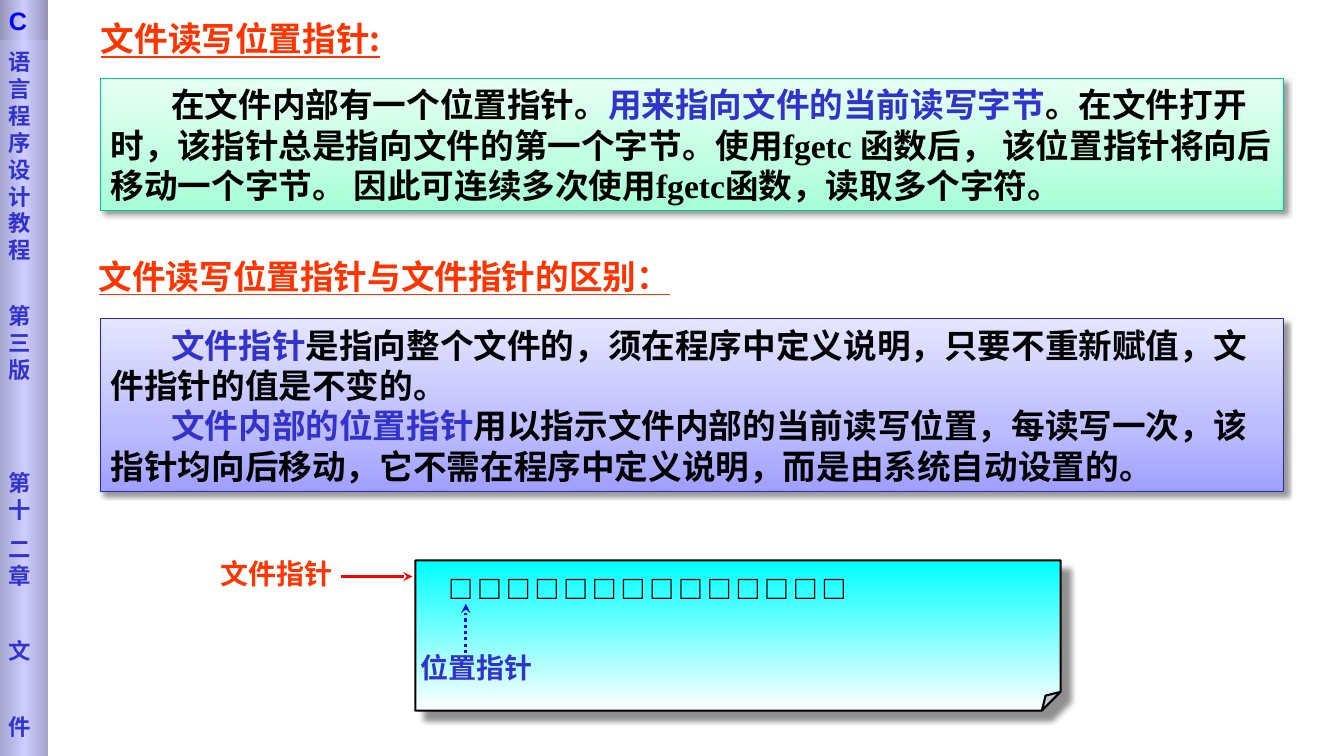
from dataclasses import dataclass

from lxml.etree import SubElement
from pptx import Presentation
from pptx.dml.color import RGBColor
from pptx.enum.dml import MSO_LINE
from pptx.enum.shapes import MSO_CONNECTOR, MSO_SHAPE
from pptx.enum.text import MSO_ANCHOR, MSO_AUTO_SIZE, PP_ALIGN
from pptx.oxml.ns import qn
from pptx.util import Inches, Pt


@dataclass(frozen=True)
class Theme:
    ink: str = "000000"
    head: str = "FF3300"
    mark: str = "3333CC"
    blue: str = "0000FF"
    red: str = "FF0000"
    mint_edge: str = "00C896"
    lilac_edge: str = "2929B8"
    mint: tuple = ((0, "A5FFD6"), (35, "BFFFE2"), (100, "E7FFF3"))
    lilac: tuple = ((0, "9F9FFF"), (35, "BBBBFF"), (100, "E5E5FF"))
    cyan: tuple = ((0, "00FFFF"), (100, "FFFFFF"))
    side: tuple = ((0, "A4A4CD"), (50, "CCCCFF"), (100, "A4A4CD"))
    cap: tuple = ((0, "9292B6"), (50, "CCCCFF"), (100, "9292B6"))
    body: int = 24
    label: int = 20
    cap_size: int = 18
    side_size: int = 16
    lead: float = 1.2
    serif: str = "Times New Roman"
    sans: str = "Noto Sans CJK SC"
    narrow: str = "DejaVu Sans"
    latin: str = "Arial"


T = Theme()


def put(obj, **vals):
    for name, val in vals.items():
        setattr(obj, name, val)


def add(parent, tag, **vals):
    return SubElement(parent, qn(tag), {k: str(v) for k, v in vals.items()})


def style(run, size, color, face, east=T.sans, bold=True, under=False):
    put(run.font, size=Pt(size), name=face, bold=bold, underline=under)
    run.font.color.rgb = RGBColor.from_string(color)
    add(run.font._element, "a:ea", typeface=east)


def write(shape, paras, size, face=T.serif, indent=0, gaps=None,
          pad=(0.1, 0.05), anchor=MSO_ANCHOR.MIDDLE, wrap=True, **look):
    """Fill a shape with paragraphs, each a list of (text, colour) runs."""
    frame = shape.text_frame
    put(frame, word_wrap=wrap, auto_size=MSO_AUTO_SIZE.NONE,
        vertical_anchor=anchor, margin_left=Inches(pad[0]),
        margin_right=Inches(0.1), margin_top=Inches(pad[1]),
        margin_bottom=Inches(0.05))
    for i, runs in enumerate(paras):
        para = frame.add_paragraph() if i else frame.paragraphs[0]
        put(para, alignment=PP_ALIGN.LEFT, line_spacing=Pt(size * T.lead),
            space_before=Pt(gaps[i] if gaps else 0))
        if indent:
            para._p.get_or_add_pPr().set("indent", str(Inches(indent)))
        for text, color in runs:
            run = para.add_run()
            run.text = text
            style(run, size, color, face, **look)


def place(shape, box):
    put(shape, **dict(zip(("left", "top", "width", "height"),
                          map(Inches, box))))


def label(slide, box, text, color, size, **look):
    shape = slide.shapes.add_textbox(*map(Inches, box))
    write(shape, [[(text, color)]], size, **look)


def shade(shape, stops, angle):
    shape.fill.gradient()
    grad = shape._element.spPr.find(qn("a:gradFill"))
    for child in list(grad):
        grad.remove(child)
    items = add(grad, "a:gsLst")
    for pos, color in stops:
        stop = add(items, "a:gs", pos=pos * 1000)
        add(stop, "a:srgbClr", val=color)
    add(grad, "a:lin", ang=angle * 60000, scaled=0)


def panel(slide, box, stops, angle, edge=None, width=0.75, drop=None,
          kind=MSO_SHAPE.RECTANGLE):
    """Add a gradient shape; drop is shadow (opacity, blur, distance)."""
    shape = slide.shapes.add_shape(kind, *map(Inches, box))
    shade(shape, stops, angle)
    if edge:
        shape.line.color.rgb = RGBColor.from_string(edge)
        shape.line.width = Pt(width)
    else:
        shape.line.fill.background()
    shape.shadow.inherit = False
    if drop:
        alpha, blur, dist = drop
        effect = shape._element.spPr.find(qn("a:effectLst"))
        cast = add(effect, "a:outerShdw", blurRad=Pt(blur), dist=Pt(dist),
                   dir=45 * 60000, algn="tl", rotWithShape=0)
        tone = add(cast, "a:srgbClr", val=T.ink)
        add(tone, "a:alpha", val=alpha * 1000)
    return shape


def arrow(slide, start, end, color, dash=None):
    line = slide.shapes.add_connector(
        MSO_CONNECTOR.STRAIGHT, *map(Inches, start + end))
    line.line.color.rgb = RGBColor.from_string(color)
    put(line.line, width=Pt(2.25), dash_style=dash)
    props = line._element.spPr
    add(props.find(qn("a:ln")), "a:tailEnd", type="stealth")
    add(props, "a:effectLst")


def notes(slide):
    """Add both headings with their explanation panels."""
    title = slide.shapes.title
    place(title, (0.9, 0.13, 3.22, 0.5))
    write(title, [[("文件读写位置指针:", T.head)]], T.body, T.sans,
          wrap=False, under=True)
    drop = (40, 4, 3)
    upper = panel(slide, (1, 0.78, 11.73, 1.31), T.mint, 270,
                  T.mint_edge, drop=drop)
    write(upper, [[
        ("在文件内部有一个位置指针。", T.ink),
        ("用来指向文件的当前读写字节", T.mark),
        ("。在文件打开时，该指针总是指向文件的第一个字节。使用fgetc 函数后，"
         " 该位置指针将向后移动一个字节。 因此可连续多次使用fgetc函数，"
         "读取多个字符。", T.ink)]], T.body, indent=0.6)
    label(slide, (0.88, 2.49, 6.06, 0.5), "文件读写位置指针与文件指针的区别：",
          T.head, T.body, face=T.sans, under=True)
    lower = panel(slide, (1, 3.16, 11.73, 1.72), T.lilac, 270,
                  T.lilac_edge, drop=drop)
    write(lower, [
        [("文件指针", T.mark),
         ("是指向整个文件的，须在程序中定义说明，只要不重新赋值，"
          "文件指针的值是不变的。", T.ink)],
        [("文件内部的位置指针", T.mark),
         ("用以指示文件内部的当前读写位置，每读写一次，该指针均向后移动，"
          "它不需在程序中定义说明，而是由系统自动设置的。", T.ink)]],
        T.body, indent=0.6)


def diagram(slide):
    sheet = panel(slide, (4.12, 5.56, 6.4, 1.49), T.cyan, 90, T.ink, 1.5,
                  (43, 4, 8.4), MSO_SHAPE.FOLDED_CORNER)
    guides = sheet._element.spPr.find(qn("a:prstGeom")).get_or_add_avLst()
    add(guides, "a:gd", name="adj", fmla="val 12500")
    write(sheet, [[(" ".join("□" * 14), T.ink)]], T.body, pad=(0.35, 0.05),
          anchor=MSO_ANCHOR.TOP, east=T.serif, bold=False)
    arrow(slide, (3.38, 5.72), (4.09, 5.72), T.red)
    label(slide, (2.09, 5.47, 1.34, 0.43), "文件指针", T.head, T.label)
    arrow(slide, (4.62, 6.54), (4.62, 5.99), T.blue, MSO_LINE.ROUND_DOT)
    label(slide, (4.07, 6.41, 1.34, 0.43), "位置指针", T.mark, T.label)


def sidebar(slide):
    bar = panel(slide, (-0.01, 0, 0.49, 7.5), T.side, 0)
    parts = {"语言程序设计教程": 0, "第三版": 28, "第十": 61.5,
             "二章": 8.5, "文": 35, "件": 35}
    write(bar, [[(text, T.mark)] for text in parts], T.side_size, T.narrow,
          gaps=list(parts.values()), pad=(0.1, 0.48), anchor=MSO_ANCHOR.TOP)
    cap = panel(slide, (-0.01, 0, 0.49, 0.4), T.cap, 0)
    write(cap, [[("C", T.blue)]], T.cap_size, T.latin)


def main():
    deck = Presentation()
    put(deck, slide_width=Inches(13.33), slide_height=Inches(7.5))
    slide = deck.slides.add_slide(deck.slide_layouts.get_by_name("Title Only"))
    notes(slide)
    diagram(slide)
    sidebar(slide)
    deck.save("out.pptx")


if __name__ == "__main__":
    main()
